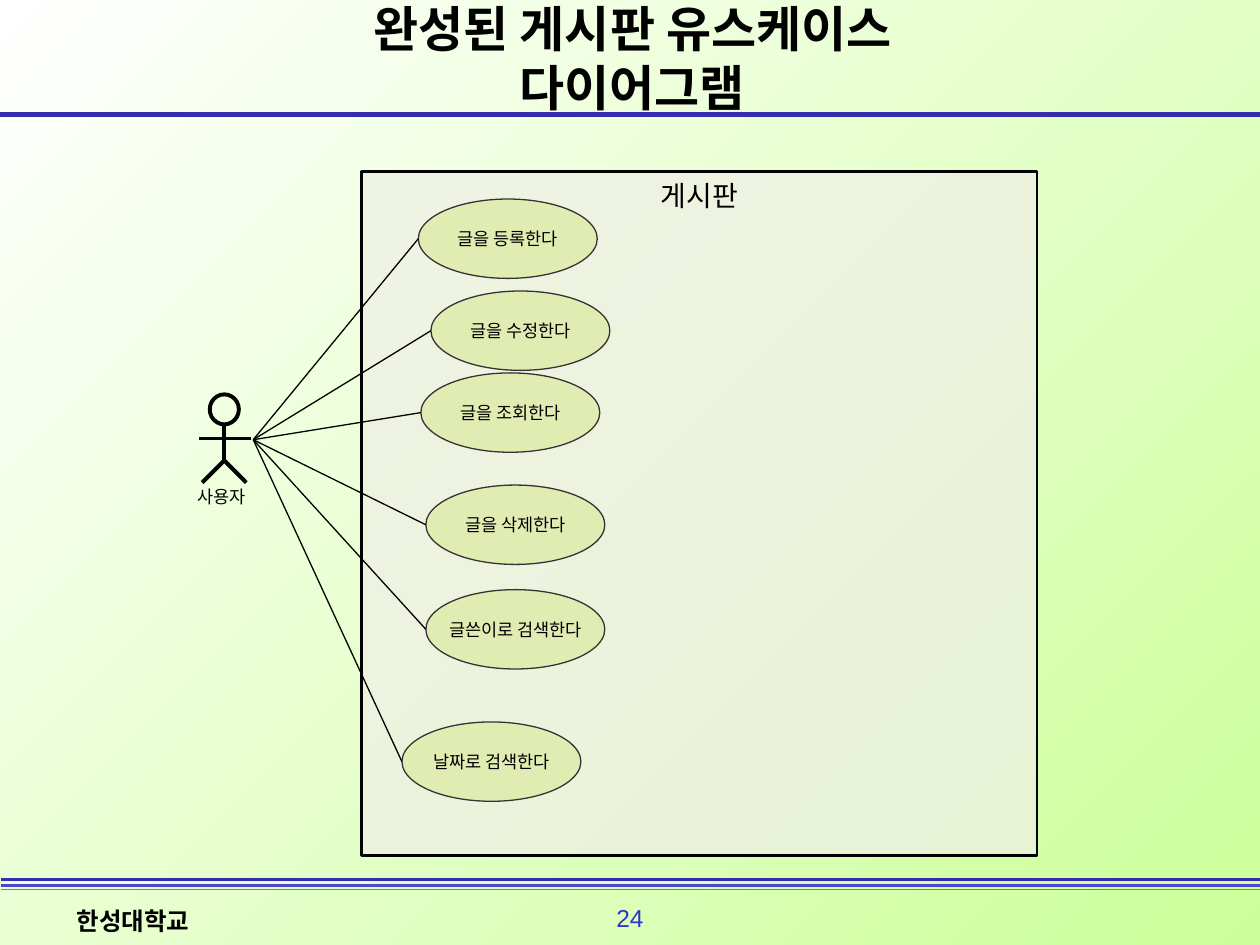
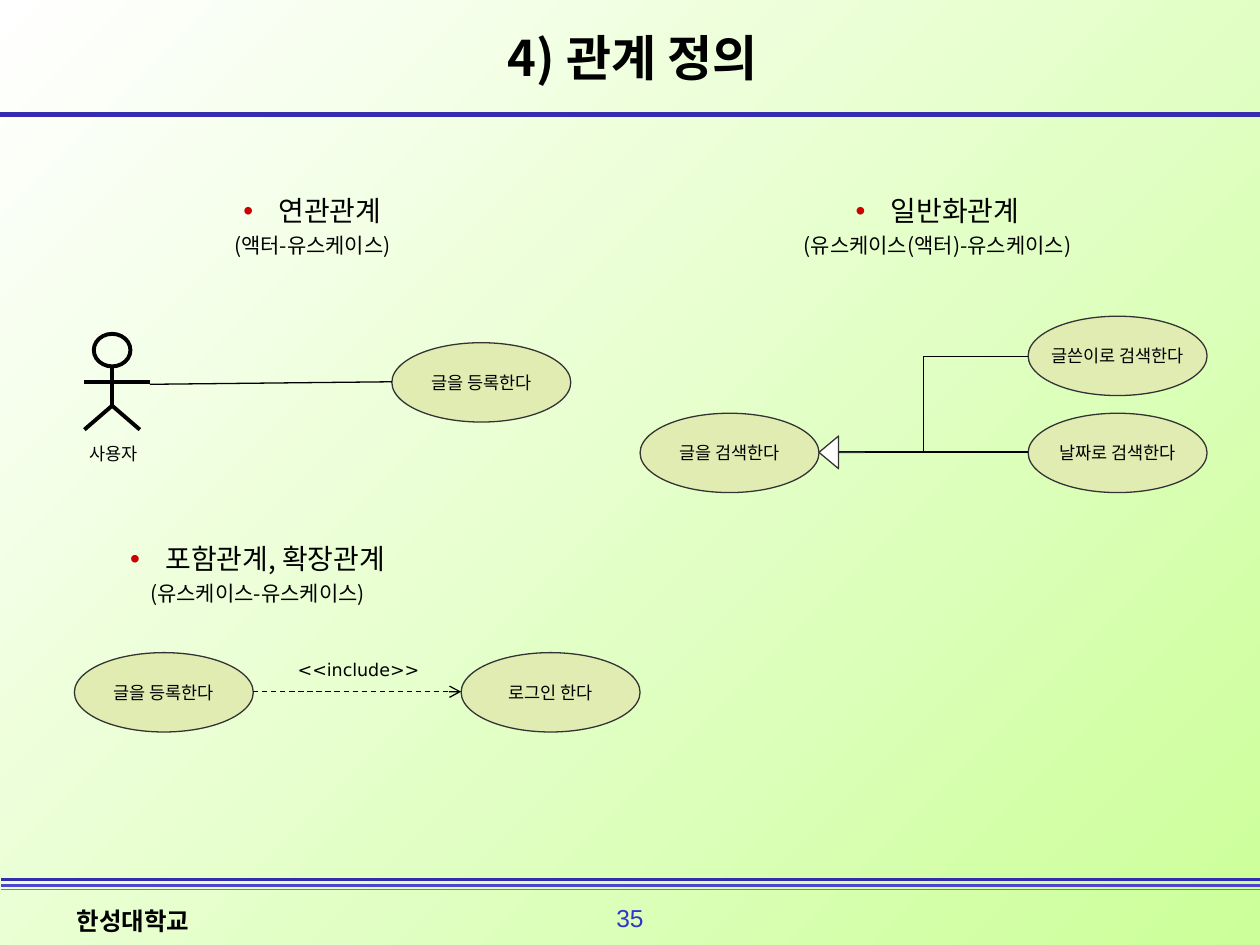
"""Builds two slides on use case diagrams: a board system and the kinds of relations."""
from lxml.etree import SubElement
from pptx import Presentation
from pptx.dml.color import RGBColor
from pptx.enum.dml import MSO_LINE
from pptx.enum.shapes import MSO_CONNECTOR, MSO_SHAPE
from pptx.enum.text import MSO_ANCHOR, MSO_AUTO_SIZE, PP_ALIGN
from pptx.oxml.ns import qn
from pptx.util import Inches, Pt

COLORS = {
    "background_start": "FFFFFF", "background_end": "CCFF99",
    "rule": "352CB0", "rule_middle": "4F45D1", "rule_light": "7870DC",
    "page_number": "3333CC", "text": "000000", "bullet": "CC0000",
    "system": "EFF0E4", "use_case": "E0ECB2", "outline": "333333", "white": "FFFFFF",
}
KOREAN = "Noto Sans CJK KR"
CELL = Inches(10) / 100
OVAL_WIDTH, OVAL_HEIGHT = 14.2, 6.3


def add_line(shapes, start, end, color="text", weight=0.75, kind=MSO_CONNECTOR.STRAIGHT, arrow=False):
    """Draws a connector between two points of the grid."""
    line = shapes.add_connector(kind, *[round(value * CELL) for value in (*start, *end)])
    line.line.color.rgb = RGBColor.from_string(COLORS[color])
    line.line.width = Pt(weight)
    if arrow:
        SubElement(line.line._get_or_add_ln(), qn("a:tailEnd"), type="arrow")
    SubElement(line._element.spPr, qn("a:effectLst"))
    return line


def write(shape, lines, size, font=KOREAN, color="text", bold=False, align=PP_ALIGN.CENTER,
          anchor=MSO_ANCHOR.TOP, wrap=False, margins=(1, 0.5), bullet=False):
    """Fills a shape with paragraphs, the second and later ones set smaller."""
    frame = shape.text_frame
    frame.auto_size = MSO_AUTO_SIZE.NONE
    frame.word_wrap = wrap
    frame.vertical_anchor = anchor
    frame.margin_left = frame.margin_right = round(margins[0] * CELL)
    frame.margin_top = frame.margin_bottom = round(margins[1] * CELL)
    for number, text in enumerate(lines):
        paragraph = frame.add_paragraph() if number else frame.paragraphs[0]
        paragraph.alignment = align
        paragraph.space_before = Pt(3 if number else 0)
        if bullet and number == 0:
            properties = paragraph._p.get_or_add_pPr()
            properties.set("marL", str(round(2.8 * CELL)))
            properties.set("indent", str(round(-2.8 * CELL)))
            bullet_color = SubElement(properties, qn("a:buClr"))
            SubElement(bullet_color, qn("a:srgbClr"), val=COLORS["bullet"])
            SubElement(properties, qn("a:buFont"), typeface="Arial")
            SubElement(properties, qn("a:buChar"), char="•")
        run = paragraph.add_run()
        run.text = text
        run.font.size = Pt(size - 4 * number)
        run.font.bold = bold
        run.font.color.rgb = RGBColor.from_string(COLORS[color])
        run.font.name = font
        SubElement(run._r.get_or_add_rPr(), qn("a:ea"), typeface=font)


presentation = Presentation()
presentation.slide_width = round(100 * CELL)
presentation.slide_height = round(75 * CELL)
layout = presentation.slide_layouts[5]

background = layout.background.fill
background.gradient()
background.gradient_angle = 315
for stop, name in zip(background.gradient_stops, ("background_start", "background_end")):
    stop.color.rgb = RGBColor.from_string(COLORS[name])

slides = []
for title_text, page_number in (("완성된 게시판 유스케이스 다이어그램", "24"), ("4) 관계 정의", "35")):
    slide = presentation.slides.add_slide(layout)
    slides.append(slide)
    title = slide.shapes.title
    title.left, title.top, title.width, title.height = [
        round(value * CELL) for value in (24.8, 2.8, 50.8, 3.5)]
    write(title, [title_text], 28, bold=True, anchor=MSO_ANCHOR.MIDDLE, wrap=True)
    page = slide.shapes.add_textbox(*[round(value * CELL) for value in (47.8, 71.2, 4.4, 3.3)])
    write(page, [page_number], 14, font="Arial", color="page_number")
board, relations = slides

shared = [
    add_line(board.shapes, (left, top), (left + length, top), color, weight)
    for left, top, length, color, weight in (
        (-0.4, 9.1, 100.4, "rule", 3),
        (0.1, 70.3, 100, "rule_middle", 1.5),
        (0.1, 70.6, 100, "rule_light", 1),
        (0.1, 69.8, 100, "rule", 2.25),
    )
]
footer = board.shapes.add_textbox(*[round(value * CELL) for value in (5.1, 71.4, 28.4, 3.3)])
write(footer, ["한성대학교"], 14, bold=True, align=PP_ALIGN.LEFT, wrap=True)
for shape in (*shared, footer):
    layout.shapes._spTree.append(shape._element)

system = board.shapes.add_shape(
    MSO_SHAPE.RECTANGLE, *[round(value * CELL) for value in (28.7, 13.6, 53.6, 54.3)])
system.shadow.inherit = False
system.fill.solid()
system.fill.fore_color.rgb = RGBColor.from_string(COLORS["system"])
system_color = system._element.spPr.find(qn("a:solidFill")).find(qn("a:srgbClr"))
SubElement(system_color, qn("a:alpha"), val="77000")
system.line.color.rgb = RGBColor.from_string(COLORS["text"])
system.line.width = Pt(1.5)
write(system, ["게시판"], 16, margins=(1.2, 0.6))

board_cases = [
    (33.2, 15.8, "글을 등록한다"), (34.2, 23.1, "글을 수정한다"), (33.4, 29.6, "글을 조회한다"),
    (33.8, 38.5, "글을 삭제한다"), (33.8, 46.8, "글쓴이로 검색한다"), (31.9, 57.3, "날짜로 검색한다"),
]
relation_cases = [
    (5.9, 51.8, "글을 등록한다"), (36.6, 51.8, "로그인 한다"), (81.6, 25.1, "글쓴이로 검색한다"),
    (81.6, 32.8, "날짜로 검색한다"), (50.8, 32.8, "글을 검색한다"), (31.1, 27.2, "글을 등록한다"),
]
for slide, use_cases in ((board, board_cases), (relations, relation_cases)):
    for left, top, text in use_cases:
        oval = slide.shapes.add_shape(
            MSO_SHAPE.OVAL, *[round(value * CELL) for value in (left, top, OVAL_WIDTH, OVAL_HEIGHT)])
        oval.shadow.inherit = False
        oval.fill.solid()
        oval.fill.fore_color.rgb = RGBColor.from_string(COLORS["use_case"])
        oval.line.color.rgb = RGBColor.from_string(COLORS["outline"])
        oval.line.width = Pt(0.75)
        write(oval, [text], 10, anchor=MSO_ANCHOR.MIDDLE)

for left, top, text in board_cases:
    add_line(board.shapes, (20.1, 34.9), (left, top + OVAL_HEIGHT / 2))

for slide, center, top, width, height, arm_left, arm_right, label_left, label_top in (
    (board, 17.8, 31.3, 3.5, 7, 15.8, 19.9, 14.5, 38.1),
    (relations, 8.9, 26.5, 4.4, 7.6, 6.7, 11.9, 5.9, 34.7),
):
    actor = slide.shapes.add_group_shape()
    neck, arms, hip, feet = [top + height * share for share in (0.34, 0.5, 0.75, 1)]
    for start, end in (
        ((arm_left, arms), (arm_right, arms)),
        ((center, neck), (center, hip)),
        ((center, hip), (center - width / 2, feet)),
        ((center, hip), (center + width / 2, feet)),
    ):
        add_line(actor.shapes, start, end, weight=2.25)
    head_width = width * 0.66
    head = actor.shapes.add_shape(MSO_SHAPE.OVAL, *[
        round(value * CELL) for value in (center - head_width / 2, top, head_width, neck - top)])
    head.shadow.inherit = False
    head.fill.background()
    head.line.color.rgb = RGBColor.from_string(COLORS["text"])
    head.line.width = Pt(2.25)
    label = slide.shapes.add_textbox(*[round(value * CELL) for value in (label_left, label_top, 6.2, 2.7)])
    write(label, ["사용자"], 10)

add_line(relations.shapes, (11.9, 30.5), (31.1, 30.3))
include = add_line(relations.shapes, (20.1, 54.9), (36.6, 54.9), arrow=True)
include.line.dash_style = MSO_LINE.DASH
include_label = relations.shapes.add_textbox(*[round(value * CELL) for value in (22.7, 51.8, 11.5, 2.7)])
write(include_label, ["<<include>>"], 10, font="DejaVu Sans")

for start_top, kind in ((28.3, MSO_CONNECTOR.ELBOW), (35.9, MSO_CONNECTOR.STRAIGHT)):
    add_line(relations.shapes, (81.6, start_top), (65, 35.9), weight=1, kind=kind, arrow=True)
triangle = relations.shapes.add_shape(
    MSO_SHAPE.UP_ARROW, *[round(value * CELL) for value in (65.5, 34.1, 2.6, 3.6)])
triangle.rotation = 270
triangle.adjustments[0] = 0
triangle.adjustments[1] = 0.6
triangle.shadow.inherit = False
triangle.fill.solid()
triangle.fill.fore_color.rgb = RGBColor.from_string(COLORS["white"])
triangle.line.color.rgb = RGBColor.from_string(COLORS["outline"])
triangle.line.width = Pt(0.75)

for left, top, width, heading, members in (
    (5.1, 14.8, 39.4, "연관관계", "(액터-유스케이스)"),
    (5.1, 42.4, 30.7, "포함관계, 확장관계", "(유스케이스-유스케이스)"),
    (55.5, 14.8, 37.8, "일반화관계", "(유스케이스(액터)-유스케이스)"),
):
    relation = relations.shapes.add_textbox(*[round(value * CELL) for value in (left, top, width, 6.9)])
    write(relation, [heading, members], 16, wrap=True, margins=(1.2, 0.6), bullet=True)

presentation.save("out.pptx")
